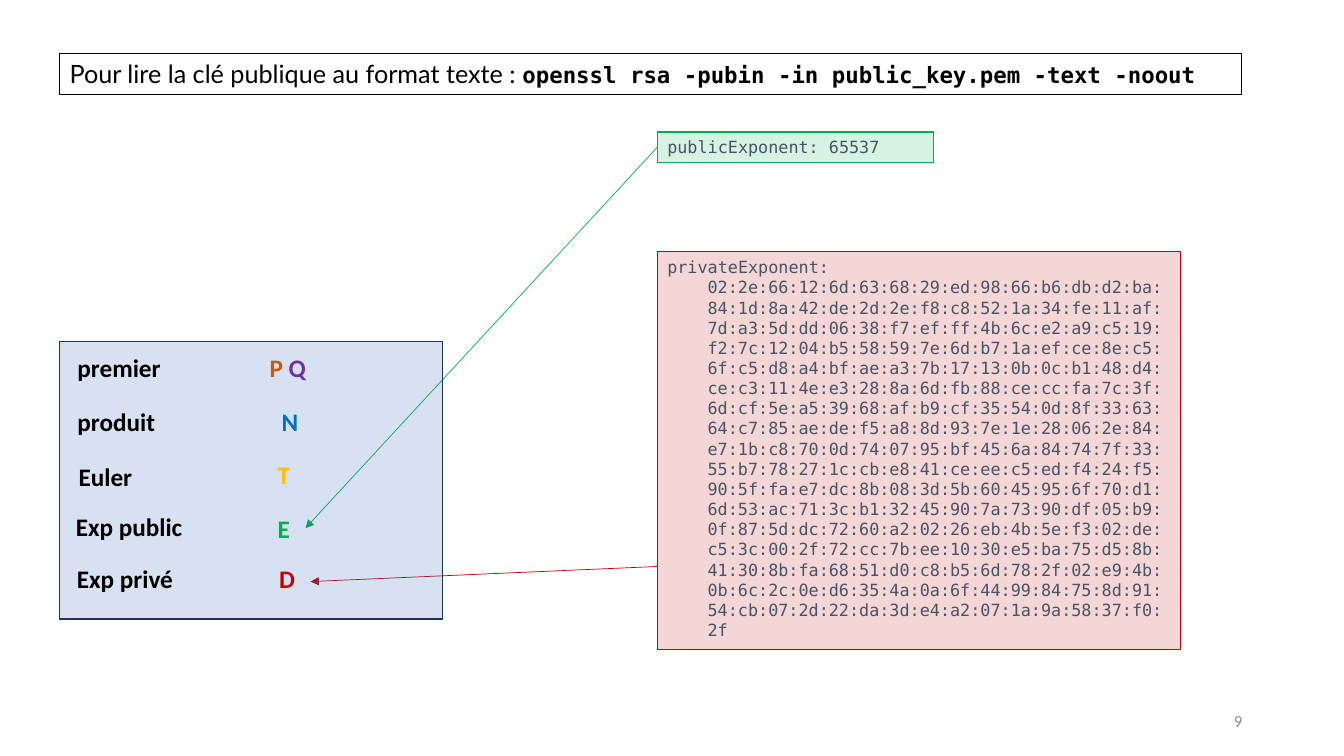
from dataclasses import dataclass

import pptx
import pptx.dml.color
import pptx.enum.shapes
import pptx.enum.text
import pptx.oxml
import pptx.oxml.ns
import pptx.util
from pptx.util import Inches

RGBColor = pptx.dml.color.RGBColor
ALIGN = pptx.enum.text.PP_ALIGN
ANCHOR = pptx.enum.text.MSO_ANCHOR

BLACK = RGBColor(0x00, 0x00, 0x00)
GREEN = RGBColor(0x00, 0xB0, 0x50)
RED = RGBColor(0xC0, 0x00, 0x00)
BLUE = RGBColor(0x44, 0x72, 0xC4)
NAVY = RGBColor(0x1E, 0x32, 0x56)
SLATE = RGBColor(0x48, 0x53, 0x65)
ORANGE = RGBColor(0xC5, 0x5A, 0x11)
PURPLE = RGBColor(0x70, 0x30, 0xA0)
AZURE = RGBColor(0x00, 0x70, 0xC0)
AMBER = RGBColor(0xFF, 0xC0, 0x00)
GREY = RGBColor(0x8C, 0x8C, 0x8C)

BODY, MONO, TITLE = "Calibri", "DejaVu Sans Mono", "Lato"
HEX_INDENT = Inches(0.4)

PRIVATE_EXPONENT = """\
02:2e:66:12:6d:63:68:29:ed:98:66:b6:db:d2:ba:
84:1d:8a:42:de:2d:2e:f8:c8:52:1a:34:fe:11:af:
7d:a3:5d:dd:06:38:f7:ef:ff:4b:6c:e2:a9:c5:19:
f2:7c:12:04:b5:58:59:7e:6d:b7:1a:ef:ce:8e:c5:
6f:c5:d8:a4:bf:ae:a3:7b:17:13:0b:0c:b1:48:d4:
ce:c3:11:4e:e3:28:8a:6d:fb:88:ce:cc:fa:7c:3f:
6d:cf:5e:a5:39:68:af:b9:cf:35:54:0d:8f:33:63:
64:c7:85:ae:de:f5:a8:8d:93:7e:1e:28:06:2e:84:
e7:1b:c8:70:0d:74:07:95:bf:45:6a:84:74:7f:33:
55:b7:78:27:1c:cb:e8:41:ce:ee:c5:ed:f4:24:f5:
90:5f:fa:e7:dc:8b:08:3d:5b:60:45:95:6f:70:d1:
6d:53:ac:71:3c:b1:32:45:90:7a:73:90:df:05:b9:
0f:87:5d:dc:72:60:a2:02:26:eb:4b:5e:f3:02:de:
c5:3c:00:2f:72:cc:7b:ee:10:30:e5:ba:75:d5:8b:
41:30:8b:fa:68:51:d0:c8:b5:6d:78:2f:02:e9:4b:
0b:6c:2c:0e:d6:35:4a:0a:6f:44:99:84:75:8d:91:
54:cb:07:2d:22:da:3d:e4:a2:07:1a:9a:58:37:f0:
2f""".split("\n")


@dataclass(frozen=True)
class Box:
    left: float
    top: float
    width: float
    height: float

    def lengths(self) -> tuple:
        return tuple(map(Inches, (self.left, self.top, self.width, self.height)))


@dataclass(frozen=True)
class Panel:
    box: Box
    fill: RGBColor
    opacity: int
    outline: RGBColor
    weight: float
    lines: tuple = ()


@dataclass(frozen=True)
class Arrow:
    start: tuple
    end: tuple
    color: RGBColor


@dataclass(frozen=True)
class Entry:
    box: Box
    runs: tuple
    align: ALIGN = ALIGN.CENTER


PUBLIC = Panel(Box(6.52, 1.31, 2.74, 0.3), GREEN, 16, GREEN, 0.75,
               ("publicExponent: 65537",))
PRIVATE = Panel(Box(6.52, 2.5, 5.19, 3.94), RED, 16, RED, 0.75,
                ("privateExponent:", *PRIVATE_EXPONENT))
LEGEND = Panel(Box(0.59, 3.39, 3.8, 2.75), BLUE, 21, NAVY, 1)

ARROWS = (
    Arrow((6.52, 5.62), (3.08, 5.77), RED),
    Arrow((6.52, 1.46), (3.03, 5.24), GREEN),
)

ENTRIES = (
    Entry(Box(0.67, 3.45, 1.17, 0.4), (("premier", BLACK),), ALIGN.LEFT),
    Entry(Box(2.27, 3.45, 1.17, 0.4), (("P ", ORANGE), ("Q", PURPLE))),
    Entry(Box(0.67, 3.98, 1.17, 0.4), (("produit", BLACK),), ALIGN.LEFT),
    Entry(Box(2.66, 3.98, 0.43, 0.4), (("N", AZURE),)),
    Entry(Box(0.59, 4.53, 0.91, 0.4), (("Euler", BLACK),)),
    Entry(Box(2.6, 4.51, 0.43, 0.4), (("T", AMBER),)),
    Entry(Box(0.44, 5.02, 1.68, 0.4), (("Exp public", BLACK),)),
    Entry(Box(2.6, 5.04, 0.43, 0.4), (("E", GREEN),)),
    Entry(Box(0.41, 5.54, 1.66, 0.4), (("Exp privé", BLACK),)),
    Entry(Box(2.67, 5.54, 0.29, 0.4), (("D", RED),)),
)


def set_font(font, name: str, size: float, color: RGBColor, bold: bool = False) -> None:
    font.name, font.size, font.bold = name, pptx.util.Pt(size), bold
    font.color.rgb = color


def add_child(parent, tag: str, **attributes: str) -> None:
    child = pptx.oxml.ns.qn(tag)
    element = parent.makeelement(child, attributes)
    parent.append(element)


def draw_title(slide) -> None:
    title = slide.shapes.title
    title.left, title.top, title.width, title.height = Box(0.59, 0.53, 11.72, 0.4).lengths()
    title.line.color.rgb = BLACK
    title.line.width = pptx.util.Pt(0.25)
    frame = title.text_frame
    frame.auto_size = pptx.enum.text.MSO_AUTO_SIZE.NONE
    frame.vertical_anchor = ANCHOR.TOP
    sentence = frame.paragraphs[0]
    sentence.alignment = ALIGN.LEFT
    intro, command = sentence.add_run(), sentence.add_run()
    intro.text = "Pour lire la clé publique au format texte : "
    command.text = "openssl rsa -pubin -in public_key.pem -text -noout"
    set_font(intro.font, TITLE, 18, BLACK)
    set_font(command.font, MONO, 16, BLACK, bold=True)


def draw_panel(slide, panel: Panel) -> None:
    rectangle = slide.shapes.add_shape(
        pptx.enum.shapes.MSO_SHAPE.RECTANGLE, *panel.box.lengths())
    rectangle.shadow.inherit = False
    rectangle.fill.solid()
    rectangle.fill.fore_color.rgb = panel.fill
    solid = rectangle.fill._xPr.find(pptx.oxml.ns.qn("a:solidFill"))
    add_child(solid[0], "a:alpha", val=str(panel.opacity * 1000))
    rectangle.line.color.rgb = panel.outline
    rectangle.line.width = pptx.util.Pt(panel.weight)
    frame = rectangle.text_frame
    frame.word_wrap = True
    frame.vertical_anchor = ANCHOR.TOP
    for index, line in enumerate(panel.lines):
        paragraph = frame.add_paragraph() if index else frame.paragraphs[0]
        paragraph.text = line
        paragraph.alignment = ALIGN.LEFT
        set_font(paragraph.font, MONO, 12, SLATE)
        if index:
            paragraph._p.get_or_add_pPr().set("marL", str(HEX_INDENT))


def draw_arrow(slide, arrow: Arrow) -> None:
    connector = slide.shapes.add_connector(
        pptx.enum.shapes.MSO_CONNECTOR.STRAIGHT,
        *map(Inches, (*arrow.start, *arrow.end)))
    connector.line.color.rgb = arrow.color
    connector.line.width = pptx.util.Pt(0.5)
    add_child(connector.line._get_or_add_ln(), "a:tailEnd", type="triangle")
    add_child(connector._element.spPr, "a:effectLst")


def draw_entry(slide, entry: Entry) -> None:
    frame = slide.shapes.add_textbox(*entry.box.lengths()).text_frame
    frame.word_wrap = True
    paragraph = frame.paragraphs[0]
    paragraph.alignment = entry.align
    for text, color in entry.runs:
        run = paragraph.add_run()
        run.text = text
        set_font(run.font, BODY, 18, color, bold=True)


def draw_page_number(slide) -> None:
    frame = slide.shapes.add_textbox(*Box(9.42, 6.95, 3, 0.4).lengths()).text_frame
    frame.word_wrap = True
    frame.vertical_anchor = ANCHOR.MIDDLE
    number = frame.paragraphs[0]
    number.text = "9"
    number.alignment = ALIGN.RIGHT
    set_font(number.font, BODY, 12, GREY)


def main() -> None:
    deck = pptx.Presentation()
    deck.slide_width, deck.slide_height = Inches(13.33), Inches(7.5)
    slide = deck.slides.add_slide(deck.slide_layouts.get_by_name("Title Only"))
    draw_title(slide)
    # Key fields and their arrows to the legend
    draw_panel(slide, PUBLIC)
    for arrow in ARROWS:
        draw_arrow(slide, arrow)
    draw_panel(slide, PRIVATE)
    # Legend of the RSA quantities
    draw_panel(slide, LEGEND)
    for entry in ENTRIES:
        draw_entry(slide, entry)
    draw_page_number(slide)
    deck.save("out.pptx")


if __name__ == "__main__":
    main()
